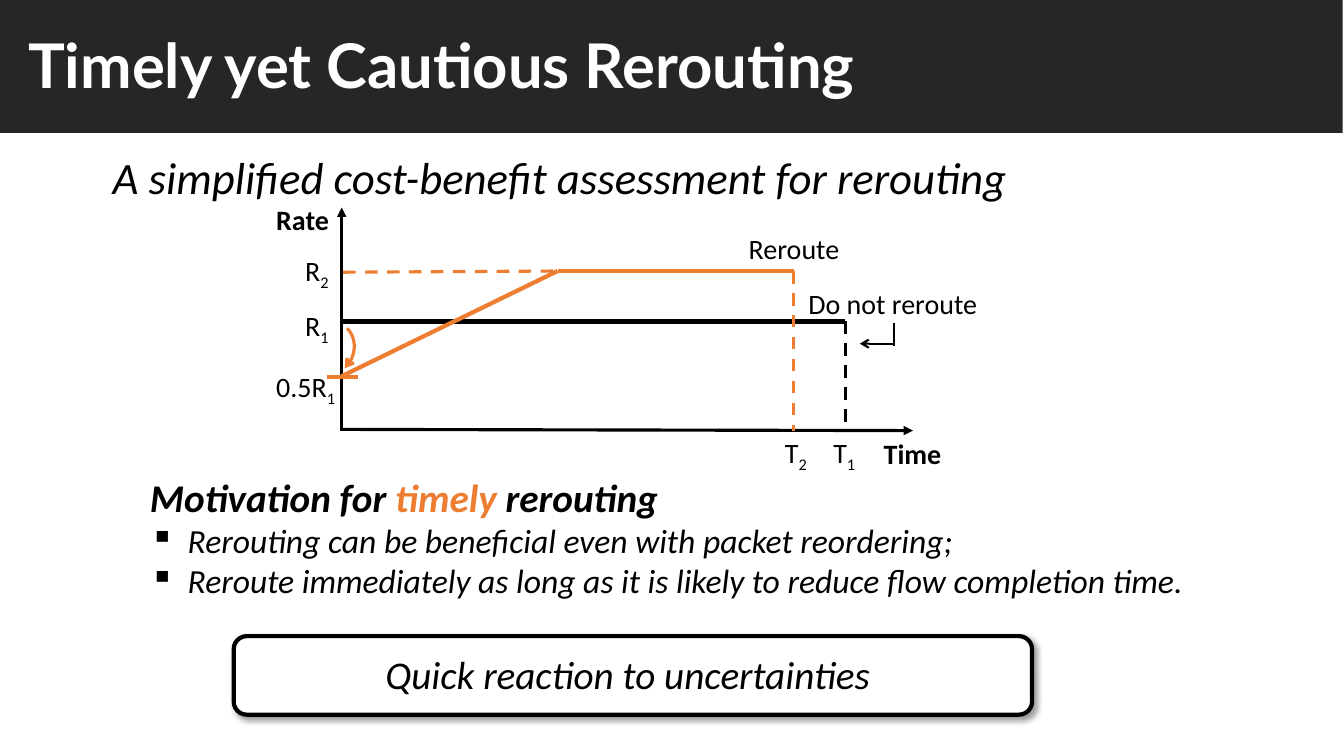
from dataclasses import dataclass
from typing import Optional

from lxml import etree
from pptx import Presentation
from pptx.dml.color import RGBColor
from pptx.enum.dml import MSO_LINE
from pptx.enum.shapes import MSO_CONNECTOR, MSO_SHAPE
from pptx.enum.text import MSO_ANCHOR, PP_ALIGN
from pptx.oxml.ns import qn
from pptx.util import Cm, Pt

STRAIGHT = MSO_CONNECTOR.STRAIGHT
DASH = MSO_LINE.DASH
RECT, ROUND, ARC = MSO_SHAPE.RECTANGLE, MSO_SHAPE.ROUNDED_RECTANGLE, MSO_SHAPE.ARC
LEFT, MID, JUST = PP_ALIGN.LEFT, PP_ALIGN.CENTER, PP_ALIGN.JUSTIFY
TOP = MSO_ANCHOR.TOP

COLORS = {"black": "000000", "white": "FFFFFF", "dark": "262626", "orange": "ED7D31"}


@dataclass
class Run:
    text: str
    size: float = 20
    color: str = "black"
    bold: bool = False
    slant: bool = False
    font: str = "Calibri"
    sub: bool = False


@dataclass
class Para:
    runs: list[Run]
    align: PP_ALIGN = LEFT
    bullet: bool = False


@dataclass
class Label:
    x: float
    y: float
    w: float
    h: float
    paras: list[Para]


@dataclass
class Line:
    x1: float
    y1: float
    x2: float
    y2: float
    color: str = "black"
    width: float = 2.25
    dash: bool = False
    tail: Optional[str] = None


def shade(name: str) -> RGBColor:
    return RGBColor.from_string(COLORS[name])


def add_tail(line, kind: str) -> None:
    etree.SubElement(line._get_or_add_ln(), qn("a:tailEnd"), type=kind)


def add_paras(frame, paras: list[Para]) -> None:
    frame.word_wrap = True
    frame.vertical_anchor = TOP
    for i, item in enumerate(paras):
        para = frame.add_paragraph() if i else frame.paragraphs[0]
        para.alignment = item.align
        if item.bullet:
            props = para._p.get_or_add_pPr()
            props.set("marL", str(Cm(0.95)))
            props.set("indent", str(-Cm(0.95)))
            etree.SubElement(props, qn("a:buChar"), char="▪")
        for part in item.runs:
            run = para.add_run()
            run.text = part.text
            font = run.font
            font.name, font.size = part.font, Pt(part.size)
            font.bold, font.italic = part.bold, part.slant
            font.color.rgb = shade(part.color)
            if part.sub:
                run._r.get_or_add_rPr().set("baseline", "-25000")


def add_label(slide, label: Label) -> None:
    box = slide.shapes.add_textbox(Cm(label.x), Cm(label.y), Cm(label.w), Cm(label.h))
    add_paras(box.text_frame, label.paras)


def add_block(slide, kind, x: float, y: float, w: float, h: float,
              fill: Optional[str] = None, edge: Optional[str] = None, width: float = 0):
    block = slide.shapes.add_shape(kind, Cm(x), Cm(y), Cm(w), Cm(h))
    block.shadow.inherit = False
    if fill:
        block.fill.solid()
        block.fill.fore_color.rgb = shade(fill)
    else:
        block.fill.background()
    if edge:
        block.line.color.rgb = shade(edge)
        block.line.width = Pt(width)
    else:
        block.line.fill.background()
    return block


def add_line(slide, item: Line) -> None:
    link = slide.shapes.add_connector(
        STRAIGHT, Cm(item.x1), Cm(item.y1), Cm(item.x2), Cm(item.y2))
    link.line.color.rgb = shade(item.color)
    link.line.width = Pt(item.width)
    if item.dash:
        link.line.dash_style = DASH
    if item.tail:
        add_tail(link.line, item.tail)
    etree.SubElement(link._element.spPr, qn("a:effectLst"))


def add_shadow(block) -> None:
    effects = block._element.spPr.find(qn("a:effectLst"))
    outer = etree.SubElement(effects, qn("a:outerShdw"), blurRad=str(Pt(4)),
                             dist=str(Pt(3)), dir="2700000", algn="tl", rotWithShape="0")
    color = etree.SubElement(outer, qn("a:srgbClr"), val=COLORS["black"])
    etree.SubElement(color, qn("a:alpha"), val="40000")


def mark(x: float, y: float, text: str, sub: str = "", w: float = 3.58,
         bold: bool = False, align: PP_ALIGN = LEFT) -> Label:
    runs = [Run(text, bold=bold)]
    if sub:
        runs.append(Run(sub, sub=True))
    return Label(x, y, w, 1.12, [Para(runs, align)])


AXIS, BASE = 8.61, 10.85
HIGH, FLAT, HALF = 6.83, 8.1, 9.48
KNEE, END1, END2 = 14.05, 21.3, 20

LINES = [
    Line(AXIS, BASE, AXIS, 5.23, tail="triangle"),
    Line(AXIS, 10.82, 23.01, BASE, tail="triangle"),
    Line(AXIS, FLAT, END1, FLAT, width=3),
    Line(END1, FLAT, END1, 10.8, dash=True),
    Line(22.53, 8.13, 22.53, 8.71, width=1.5),
    Line(22.5, 8.66, 21.67, 8.66, width=1.5, tail="arrow"),
    Line(KNEE, HIGH, END2, HIGH, "orange", 3),
    Line(END2, HIGH, END2, BASE, "orange", dash=True),
    Line(AXIS, HALF, KNEE, HIGH, "orange", 3),
    Line(13.94, HIGH, 8.51, 6.86, "orange", dash=True),
    Line(8.23, 9.5, 9.02, 9.5, "orange"),
]

MARKS = [
    mark(22.02, 10.87, "Time", bold=True),
    mark(6.71, 4.98, "Rate", bold=True),
    mark(7.44, 6.27, "R", "2"),
    mark(7.44, 7.65, "R", "1"),
    mark(6.71, 9.19, "0.5R", "1"),
    mark(20.75, 10.85, "T", "1", w=1.27),
    mark(19.53, 10.85, "T", "2", w=1.27),
    mark(17.98, 7.09, "Do not reroute", w=9.04, align=MID),
    mark(15.49, 5.72, "Reroute", w=9.04, align=MID),
]

POINTS = [
    "Rerouting can be beneficial even with packet reordering;",
    "Reroute immediately as long as it is likely to reduce flow completion time.",
]

TEXTS = [
    Label(0.46, 0.56, 23.22, 2.13, [Para(
        [Run("Timely yet Cautious Rerouting", 44, "white", True, font="Lato")], JUST)]),
    Label(2.59, 3.66, 25.07, 1.63, [Para(
        [Run("A simplified cost-benefit assessment for rerouting", 32, slant=True)])]),
    Label(3.53, 11.79, 27.58, 4.7, [
        Para([Run("Motivation for ", 28, "black", True, True),
              Run("timely", 28, "orange", True, True),
              Run(" rerouting", 28, "black", True, True)], JUST),
        *[Para([Run(point, 24, slant=True)], JUST, True) for point in POINTS],
    ]),
]


def main() -> None:
    deck = Presentation()
    deck.slide_width, deck.slide_height = Cm(33.87), Cm(19.05)
    slide = deck.slides.add_slide(deck.slide_layouts[6])
    add_shadow(add_block(slide, ROUND, 5.89, 16.03, 20.12, 1.98, "white", "black", 3))
    claim = add_block(slide, RECT, 7.19, 16.26, 17.25, 1.45, "white")
    add_paras(claim.text_frame, [Para(
        [Run("Quick reaction to uncertainties", 28, slant=True)], MID)])
    add_block(slide, RECT, -0.03, -0.13, 33.87, 3.48, "dark")
    for item in LINES:
        add_line(slide, item)
    for label in TEXTS + MARKS:
        add_label(slide, label)
    drop = add_block(slide, ARC, 7.54, 8.05, 1.35, 1.5, edge="orange", width=2.25)
    drop.rotation = 45.5
    add_tail(drop.line, "arrow")
    deck.save("out.pptx")


if __name__ == "__main__":
    main()
